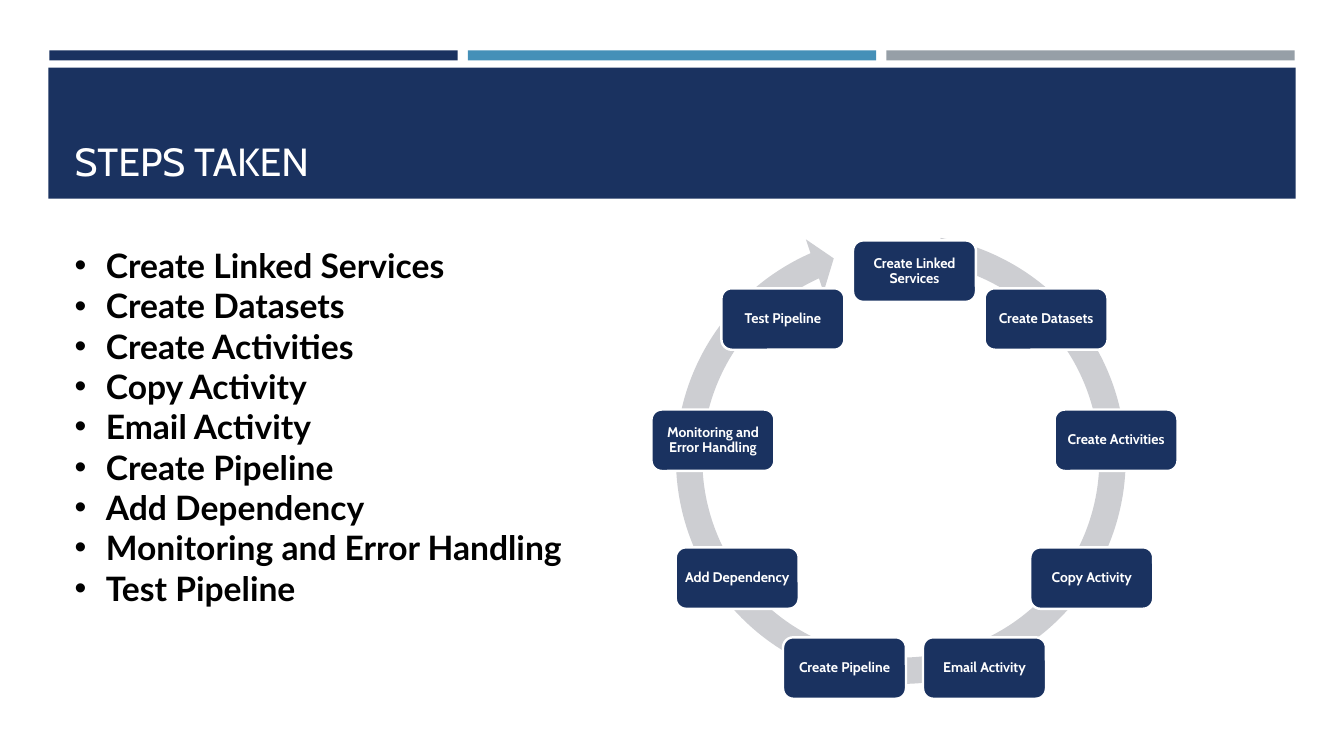
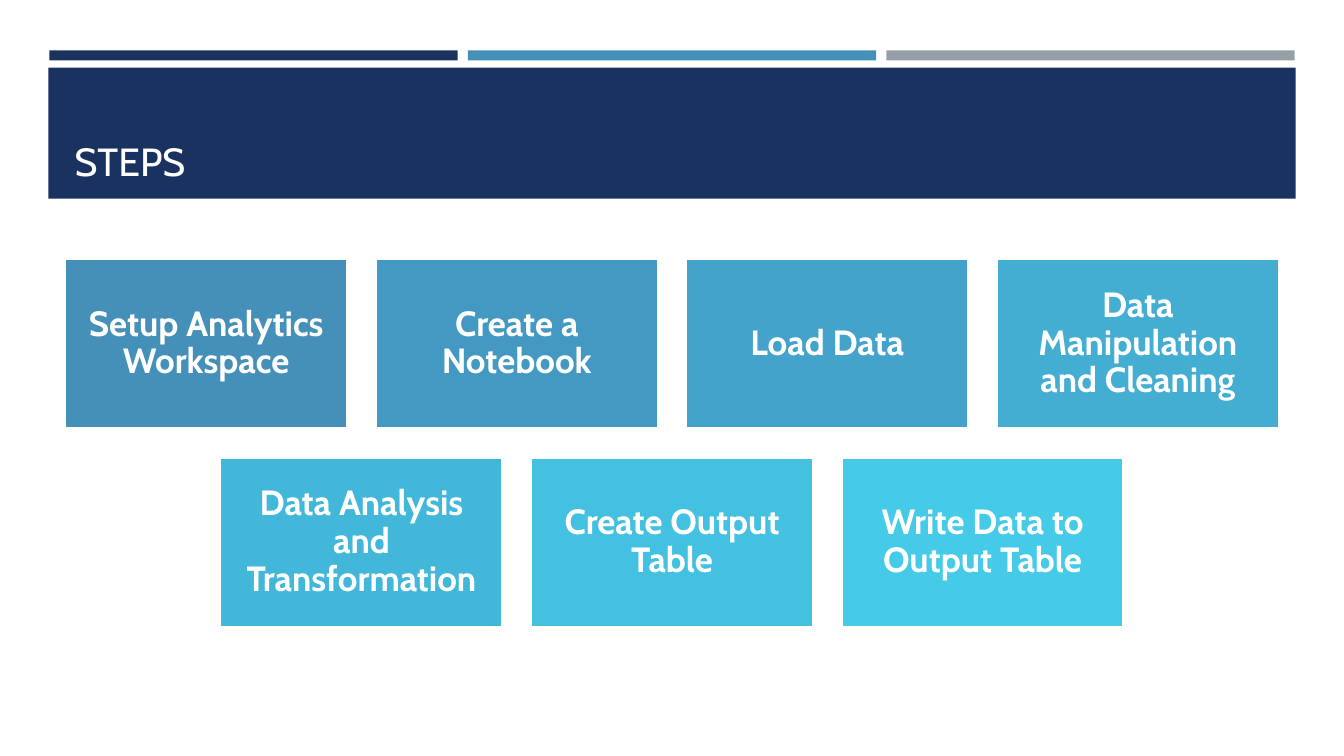
import math

import pptx
import pptx.dml.color
import pptx.enum.shapes
import pptx.enum.text
import pptx.util

RGBColor = pptx.dml.color.RGBColor
SHAPE = pptx.enum.shapes.MSO_SHAPE
ALIGN = pptx.enum.text.PP_ALIGN
ANCHOR = pptx.enum.text.MSO_ANCHOR

EMU_PER_PX = 9144  # 100 px to the inch
SLIDE_WIDTH, SLIDE_HEIGHT = 1333, 750

NAVY = RGBColor(0x1A, 0x32, 0x60)
BLUE = RGBColor(0x45, 0x90, 0xB8)
GRAY = RGBColor(0x96, 0x9F, 0xA7)
PALE_GRAY = RGBColor(0xCD, 0xCE, 0xD2)
WHITE = RGBColor(0xFF, 0xFF, 0xFF)
BLACK = RGBColor(0x00, 0x00, 0x00)

HEADING_FONT = "Cabin"
LIST_FONT = "Lato"

PIPELINE_STEPS = [
    "Create Linked Services",
    "Create Datasets",
    "Create Activities",
    "Copy Activity",
    "Email Activity",
    "Create Pipeline",
    "Add Dependency",
    "Monitoring and Error Handling",
    "Test Pipeline",
]

CARD_ROWS = [
    [
        ("Setup Analytics Workspace", BLUE),
        ("Create a Notebook", RGBColor(0x43, 0x99, 0xC2)),
        ("Load Data", RGBColor(0x43, 0xA3, 0xCA)),
        ("Data Manipulation and Cleaning", RGBColor(0x43, 0xAD, 0xD2)),
    ],
    [
        ("Data Analysis and Transformation", RGBColor(0x43, 0xB7, 0xDA)),
        ("Create Output Table", RGBColor(0x44, 0xC1, 0xE1)),
        ("Write Data to Output Table", RGBColor(0x45, 0xCB, 0xE8)),
    ],
]


def px(length):
    return pptx.util.Emu(round(length * EMU_PER_PX))


def place(shape, left, top, width, height):
    shape.left, shape.top = px(left), px(top)
    shape.width, shape.height = px(width), px(height)


def format_runs(para, font, size, color, bold=False):
    for span in para.runs:
        span.font.name = font
        span.font.size = pptx.util.Pt(size)
        span.font.color.rgb = color
        span.font.bold = bold


def add_block(page, kind, left, top, width, height, fill):
    block = page.shapes.add_shape(kind, px(left), px(top), px(width), px(height))
    block.shadow.inherit = False
    block.fill.solid()
    block.fill.fore_color.rgb = fill
    block.line.fill.background()
    return block


def add_label(block, text, size, inset):
    """Outline a block in white and centre bold white text in it."""
    block.line.color.rgb = WHITE
    block.line.width = pptx.util.Pt(1.75)
    frame = block.text_frame
    frame.text = text
    frame.word_wrap = True
    frame.vertical_anchor = ANCHOR.MIDDLE
    frame.margin_left = frame.margin_right = px(inset)
    frame.margin_top = frame.margin_bottom = px(inset)
    para = frame.paragraphs[0]
    para.alignment = ALIGN.CENTER
    para.line_spacing = 0.9
    format_runs(para, HEADING_FONT, size, WHITE, bold=True)


def move_to_master(deck, block, shape_id):
    block.element.nvSpPr.cNvPr.id = shape_id
    deck.slide_master.shapes.element.insert(2, block.element)


def add_master_bands(deck, page):
    """Three thin strips above the title band, shared by every slide."""
    bands = [
        add_block(page, SHAPE.RECTANGLE, 49 + 415 * column, 50, 405, 10, color)
        for column, color in enumerate((NAVY, BLUE, GRAY))
    ]
    bands.append(add_block(page, SHAPE.RECTANGLE, 48, 67, 1237, 130, NAVY))
    for number, band in enumerate(bands):
        move_to_master(deck, band, 100 + number)


def add_page(deck, layout_name, title):
    page = deck.slides.add_slide(deck.slide_layouts.get_by_name(layout_name))
    heading = page.shapes.title
    place(heading, 64, 77, 1206, 111)
    frame = heading.text_frame
    frame.text = title
    frame.vertical_anchor = ANCHOR.BOTTOM
    frame.auto_size = pptx.enum.text.MSO_AUTO_SIZE.NONE
    frame.paragraphs[0].alignment = ALIGN.LEFT
    format_runs(frame.paragraphs[0], HEADING_FONT, 28, WHITE)
    return page


def fill_list(body, items):
    place(body, 64, 238, 535, 404)
    frame = body.text_frame
    frame.text = "\n".join(items)
    frame.auto_size = pptx.enum.text.MSO_AUTO_SIZE.NONE
    for para in frame.paragraphs:
        # Hanging indent for the bullet that the template supplies
        properties = para._p.get_or_add_pPr()
        properties.set("marL", str(px(31)))
        properties.set("indent", str(-px(31)))
        para.space_before = pptx.util.Pt(0)
        format_runs(para, LIST_FONT, 24, BLACK, bold=True)


def add_cycle(page, steps):
    """Boxes clockwise on a circle, from the top, over a round arrow."""
    arrow = add_block(page, SHAPE.CIRCULAR_ARROW, 656, 218, 475, 475, PALE_GRAY)
    for index, value in enumerate((0.055, 3.307, 147.605, 168.114, 0.058)):
        arrow.adjustments[index] = value

    center_x, center_y, radius = 907, 472, 203
    width, height = 122, 61
    for index, step in enumerate(steps):
        angle = math.tau * index / len(steps)
        left = center_x + radius * math.sin(angle) - width / 2
        top = center_y - radius * math.cos(angle) - height / 2
        node = add_block(page, SHAPE.ROUNDED_RECTANGLE, left, top, width, height, NAVY)
        add_label(node, step, 10, 4)


def add_cards(page, rows):
    """Rows of equal cards, each row centred on the slide."""
    width, height, gap = 280, 168, 28
    step_x, step_y = width + gap, height + gap + 1
    for row, cards in enumerate(rows):
        first = (SLIDE_WIDTH - len(cards) * step_x + gap) / 2
        for column, (text, color) in enumerate(cards):
            card = add_block(page, SHAPE.RECTANGLE, first + column * step_x,
                             257 + row * step_y, width, height, color)
            add_label(card, text, 25, 10)


def main():
    deck = pptx.Presentation()
    deck.slide_width, deck.slide_height = px(SLIDE_WIDTH), px(SLIDE_HEIGHT)

    # Pipeline steps as a list and a cycle
    page = add_page(deck, "Title and Content", "STEPS TAKEN")
    add_master_bands(deck, page)
    fill_list(page.placeholders[1], PIPELINE_STEPS)
    add_cycle(page, PIPELINE_STEPS)

    # Notebook steps as cards
    page = add_page(deck, "Title Only", "STEPS")
    add_cards(page, CARD_ROWS)

    deck.save("out.pptx")


if __name__ == "__main__":
    main()
